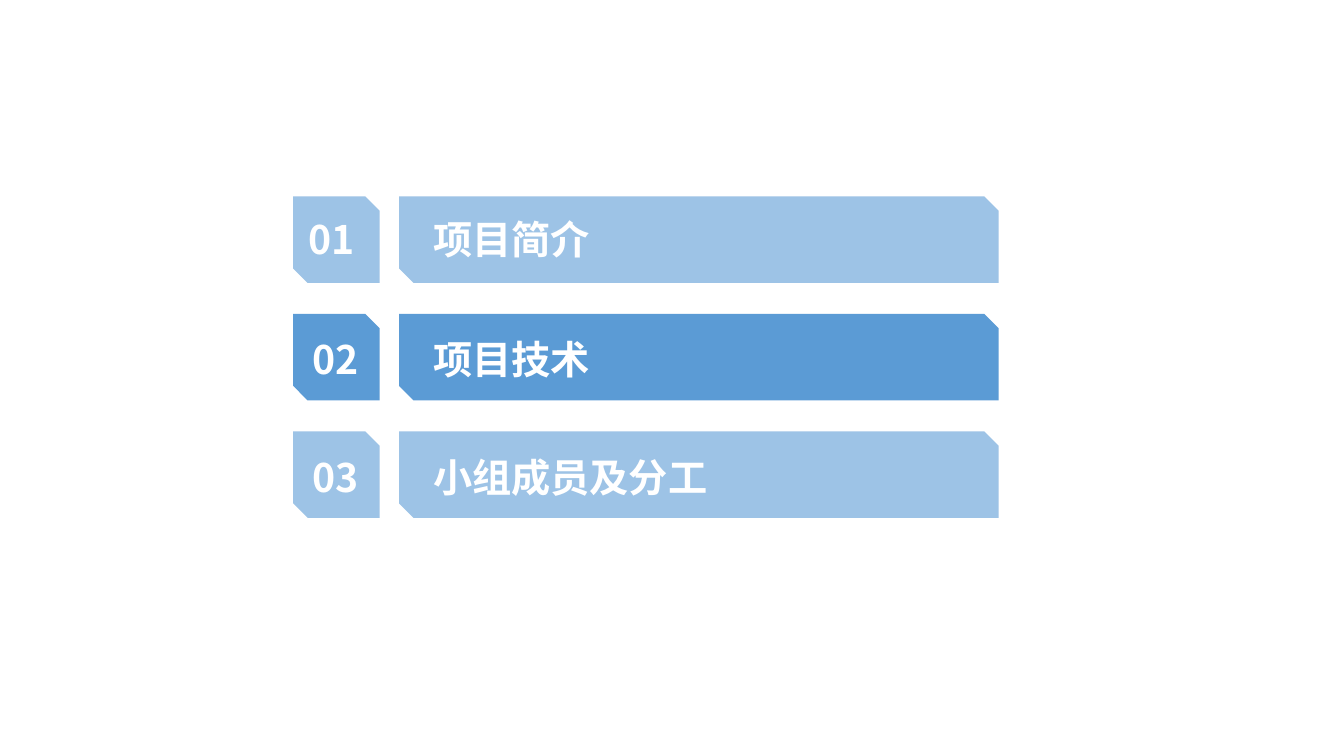
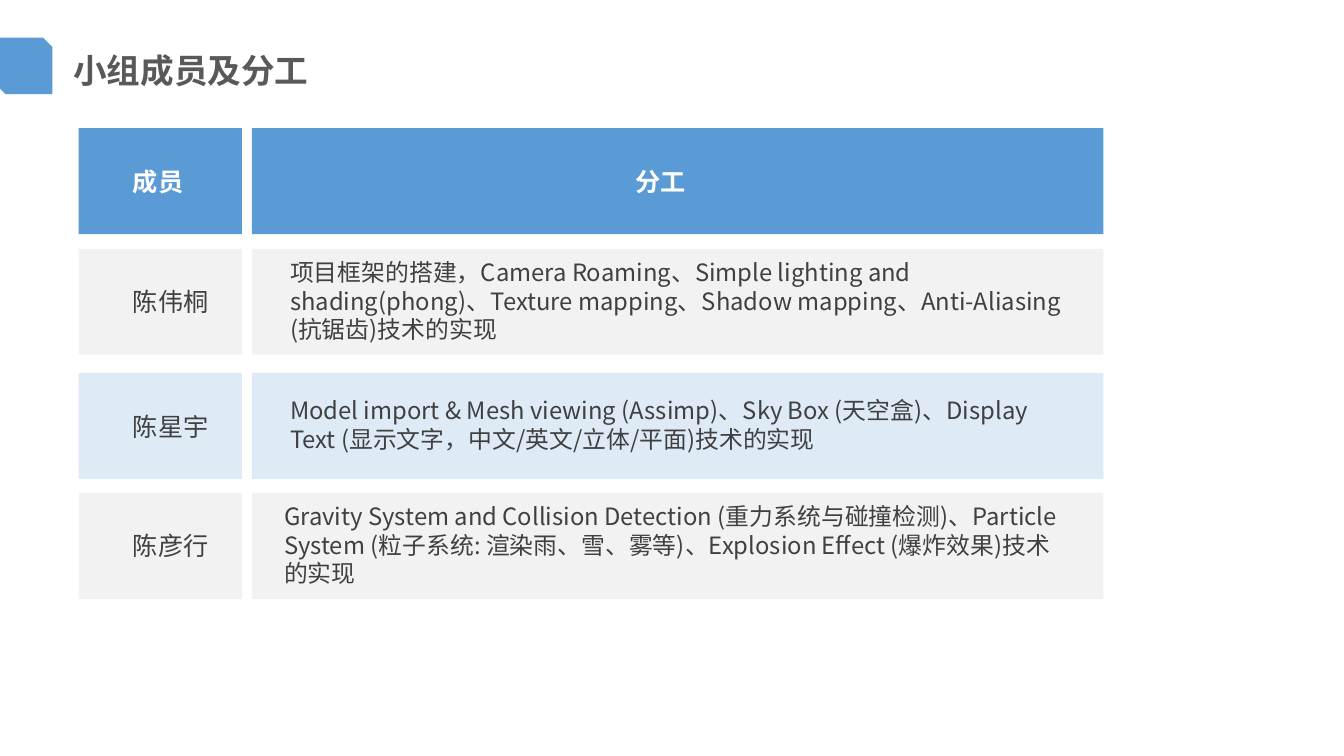
import dataclasses
import pptx
import pptx.util
import pptx.dml.color
import pptx.enum.shapes
import pptx.enum.text
import pptx.oxml.ns

Cm, Pt = pptx.util.Cm, pptx.util.Pt
RGB = pptx.dml.color.RGBColor.from_string
KIND = pptx.enum.shapes.MSO_SHAPE
AUTO = pptx.enum.text.MSO_AUTO_SIZE


@dataclasses.dataclass(frozen=True)
class Theme:
    font: str = "Noto Sans CJK SC"
    blue: str = "5B9BD5"
    light: str = "9DC3E6"
    pale: str = "DEEBF7"
    gray: str = "F2F2F2"
    white: str = "FFFFFF"
    title: str = "595959"
    ink: str = "404040"
    menu: int = 28
    head: int = 24
    cell: int = 18
    body: int = 17
    lead: float = 1.26
    tight: float = 1.2


T = Theme()

AGENDA = ["项目简介", "项目技术", "小组成员及分工"]
TEAM = [
    ("陈伟桐", "项目框架的搭建，Camera Roaming、Simple lighting and shading(phong)、"
     "Texture mapping、Shadow mapping、Anti-Aliasing (抗锯齿)技术的实现"),
    ("陈星宇", "Model import & Mesh viewing (Assimp)、Sky Box (天空盒)、"
     "Display Text (显示文字，中文/英文/立体/平面)技术的实现"),
    ("陈彦行", "Gravity System and Collision Detection (重力系统与碰撞检测)、"
     "Particle System (粒子系统: 渲染雨、雪、雾等)、Explosion Eﬀect (爆炸效果)技术的实现"),
]


# Elements
def put(obj, vals):
    for key, val in vals.items():
        setattr(obj, key, val)


def block(slide, kind, box, fill):
    shape = slide.shapes.add_shape(kind, *map(Cm, box))
    shape.shadow.inherit = False
    shape.fill.solid()
    shape.fill.fore_color.rgb = RGB(fill)
    shape.line.fill.background()


def label(slide, text, box, size, color, bold=True, wrap=False, lead=T.lead):
    frame = slide.shapes.add_textbox(*map(Cm, box)).text_frame
    put(frame, {"word_wrap": wrap, "auto_size": AUTO.SHAPE_TO_FIT_TEXT})
    para = frame.paragraphs[0]
    para.line_spacing = Pt(round(size * lead, 1))
    run = para.add_run()
    run.text = text
    put(run.font, {"name": T.font, "size": Pt(size), "bold": bold})
    run.font.color.rgb = RGB(color)
    # East Asian text takes the same font
    east = run.font._element.makeelement(
        pptx.oxml.ns.qn("a:ea"), {"typeface": T.font})
    run.font._element.find(pptx.oxml.ns.qn("a:latin")).addnext(east)


def header(slide, text):
    block(slide, KIND.SNIP_2_DIAG_RECTANGLE, (-0.1, 0.95, 1.42, 1.42), T.blue)
    label(slide, text, (1.6, 1.09, 6.43, 1.35), T.head, T.title)


# Slides
def agenda(slide, active):
    side, pitch = 2.18, 2.96
    for i, text in enumerate(AGENDA):
        top = 4.95 + i * pitch
        fill = T.blue if i == active else T.light
        for left, wide in ((7.39, side), (10.06, 15.11)):
            block(slide, KIND.SNIP_2_DIAG_RECTANGLE,
                  (left, top, wide, side), fill)
        # The first row's text sits slightly higher and further left
        left, drop = (7.62, 0.36) if i else (7.52, 0.3)
        label(slide, f"{i + 1:02}", (left, top + drop, 1.73, 1.45),
              T.menu, T.white)
        label(slide, text, (10.67, top + drop, 0.51 + 0.99 * len(text), 1.52),
              T.menu, T.white)


def team(slide):
    header(slide, AGENDA[2])
    tops = (3.23, 6.27, 9.4, 12.42)
    fills = (T.blue, T.gray, T.pale, T.gray)
    high = 2.67
    for top, fill in zip(tops, fills):
        for left, wide in ((1.98, 4.12), (6.35, 21.46)):
            block(slide, KIND.RECTANGLE, (left, top, wide, high), fill)
    # Head row
    drop = 0.79
    for left, text in ((3.1, "成员"), (15.77, "分工")):
        label(slide, text, (left, tops[0] + drop, 1.78, 1.07), T.cell, T.white)
    # Member rows
    places = ((7.06, 2.46), (7.06, 1.75), (6.91, 2.46))
    for (name, task), top, (left, tall) in zip(TEAM, tops[1:], places):
        label(slide, name, (3.1, top + drop, 2.41, 1.07), T.cell, T.ink, False)
        label(slide, task, (left, top + (high - tall) / 2, 20.04, tall),
              T.body, T.ink, False, True, T.tight)


def main():
    deck = pptx.Presentation()
    put(deck, {"slide_width": Cm(33.87), "slide_height": Cm(19.05)})
    blank = deck.slide_layouts[6]
    agenda(deck.slides.add_slide(blank), 1)
    team(deck.slides.add_slide(blank))
    deck.save("out.pptx")


main()
